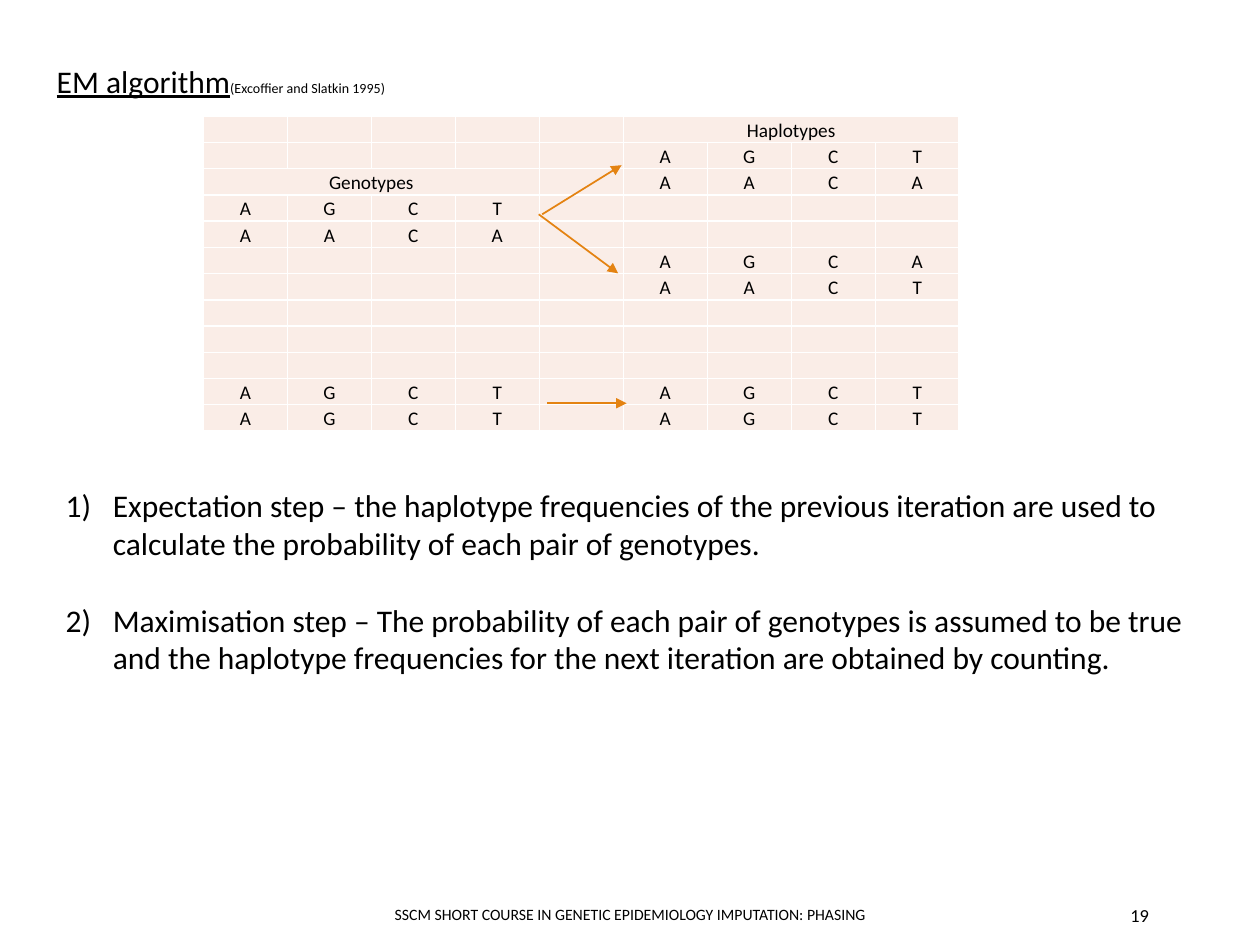
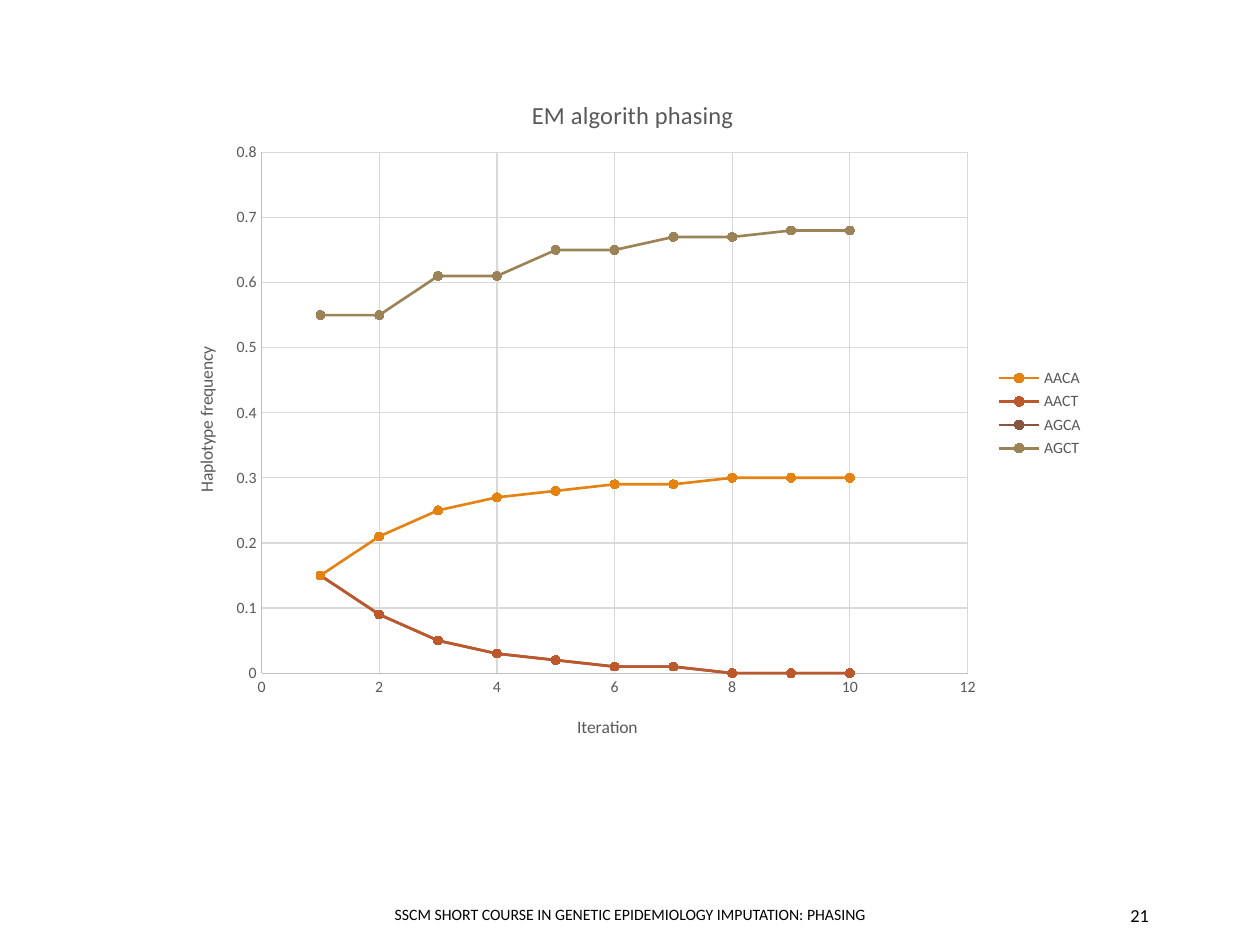
from dataclasses import dataclass

from lxml.etree import SubElement
from pptx import Presentation
from pptx.chart.data import XyChartData
from pptx.dml.color import RGBColor
from pptx.enum.chart import XL_CHART_TYPE, XL_LEGEND_POSITION, XL_MARKER_STYLE, XL_TICK_MARK
from pptx.enum.shapes import MSO_CONNECTOR
from pptx.enum.text import MSO_ANCHOR, MSO_AUTO_SIZE, PP_ALIGN
from pptx.oxml.ns import qn
from pptx.oxml.xmlchemy import OxmlElement
from pptx.util import Cm, Pt

# Shared style
FONT = "Calibri"
BLACK = RGBColor(0x00, 0x00, 0x00)
WHITE = RGBColor(0xFF, 0xFF, 0xFF)
CELL_PINK = RGBColor(0xFA, 0xED, 0xE7)
ORANGE = RGBColor(0xE4, 0x83, 0x12)
RUST = RGBColor(0xBD, 0x58, 0x2C)
BROWN = RGBColor(0x86, 0x56, 0x40)
TAN = RGBColor(0x9B, 0x83, 0x57)
CHART_TEXT = RGBColor(0x59, 0x59, 0x59)
AXIS_GREY = RGBColor(0xBF, 0xBF, 0xBF)
GRID_GREY = RGBColor(0xD9, 0xD9, 0xD9)
FOOTER_TEXT = "SSCM SHORT COURSE IN GENETIC EPIDEMIOLOGY IMPUTATION: PHASING"

# Row number -> alleles in the two halves of the table
GENOTYPES = {3: "AGCT", 4: "AACA", 10: "AGCT", 11: "AGCT"}
HAPLOTYPES = {1: "AGCT", 2: "AACA", 5: "AGCA", 6: "AACT", 10: "AGCT", 11: "AGCT"}
ROWS, COLUMNS, HAPLOTYPE_COLUMN = 12, 9, 5

STEPS = [
    "Expectation step – the haplotype frequencies of the previous iteration are used to "
    "calculate the probability of each pair of genotypes.",
    "Maximisation step – The probability of each pair of genotypes is assumed to be true "
    "and the haplotype frequencies for the next iteration are obtained by counting.",
]

FALLING = [0.15, 0.09, 0.05, 0.03, 0.02, 0.01, 0.01, 0, 0, 0]
FREQUENCIES = [
    ("AACA", ORANGE, [0.15, 0.21, 0.25, 0.27, 0.28, 0.29, 0.29, 0.3, 0.3, 0.3]),
    ("AACT", RUST, FALLING),
    ("AGCA", BROWN, FALLING),
    ("AGCT", TAN, [0.55, 0.55, 0.61, 0.61, 0.65, 0.65, 0.67, 0.67, 0.68, 0.68]),
]


@dataclass
class Box:
    """A region in centimetres."""
    left: float
    top: float
    width: float
    height: float

    def lengths(self):
        return Cm(self.left), Cm(self.top), Cm(self.width), Cm(self.height)


def style_font(font, size, color=BLACK):
    font.name = FONT
    font.size = Pt(size)
    font.color.rgb = color


def add_run(paragraph, text, size, color=BLACK, underline=None):
    run = paragraph.add_run()
    run.text = text
    style_font(run.font, size, color)
    run.font.underline = underline


def place(shape, box):
    shape.left, shape.top, shape.width, shape.height = box.lengths()


# Footer
def add_footer_text(slide, box, text, size, alignment):
    frame = slide.shapes.add_textbox(*box.lengths()).text_frame
    frame.word_wrap = True
    frame.vertical_anchor = MSO_ANCHOR.MIDDLE
    frame.margin_left = frame.margin_right = Cm(0.2)
    paragraph = frame.paragraphs[0]
    paragraph.alignment = alignment
    add_run(paragraph, text, size)


def add_footer(slide, number):
    add_footer_text(slide, Box(7.67, 17.93, 10.06, 1.02), FOOTER_TEXT, 9, PP_ALIGN.CENTER)
    add_footer_text(slide, Box(20.62, 17.93, 2.74, 1.02), str(number), 10.5, PP_ALIGN.RIGHT)


# Title and numbered steps
def fill_title(slide, box):
    title = slide.shapes.title
    place(title, box)
    frame = title.text_frame
    frame.auto_size = MSO_AUTO_SIZE.NONE
    frame.vertical_anchor = MSO_ANCHOR.TOP
    paragraph = frame.paragraphs[0]
    paragraph.alignment = PP_ALIGN.LEFT
    add_run(paragraph, "EM algorithm", 18, underline=True)
    add_run(paragraph, "(Excoffier and Slatkin 1995)", 8, underline=False)


def fill_steps(slide, box):
    body = slide.placeholders[1]
    place(body, box)
    frame = body.text_frame
    frame.auto_size = MSO_AUTO_SIZE.NONE
    for index, step in enumerate(STEPS):
        paragraph = frame.add_paragraph() if index else frame.paragraphs[0]
        properties = paragraph._p.get_or_add_pPr()
        properties.set("marL", str(Cm(0.95)))
        properties.set("indent", str(-Cm(0.95)))
        SubElement(properties, qn("a:buFont"), typeface="+mj-lt")
        SubElement(properties, qn("a:buAutoNum"), type="arabicParenR")
        paragraph.space_before = Pt(22 if index else 0)
        add_run(paragraph, step, 18)


# Genotype and haplotype table
def style_cell(cell):
    cell.margin_left = cell.margin_right = cell.margin_top = Cm(0.02)
    cell.margin_bottom = 0
    cell.vertical_anchor = MSO_ANCHOR.BOTTOM
    cell.fill.solid()
    cell.fill.fore_color.rgb = CELL_PINK
    properties = cell._tc.get_or_add_tcPr()
    for index, side in enumerate(("lnL", "lnR", "lnT", "lnB")):
        border = OxmlElement(f"a:{side}")
        border.set("w", str(Pt(1)))
        SubElement(SubElement(border, qn("a:solidFill")), qn("a:srgbClr"), val=str(WHITE))
        properties.insert(index, border)
    cell.text_frame.paragraphs[0]._p.get_or_add_endParaRPr().set("sz", "1100")


def write_cell(cell, text):
    paragraph = cell.text_frame.paragraphs[0]
    paragraph.alignment = PP_ALIGN.CENTER
    add_run(paragraph, text, 11)


def add_allele_table(slide, box):
    table = slide.shapes.add_table(ROWS, COLUMNS, *box.lengths()).table
    table.first_row = table.horz_banding = False
    for column in table.columns:
        column.width = Cm(box.width / COLUMNS)
    for row in table.rows:
        row.height = Cm(box.height / ROWS)
    for cell in table.iter_cells():
        style_cell(cell)

    for row, column, heading in ((0, HAPLOTYPE_COLUMN, "Haplotypes"), (2, 0, "Genotypes")):
        table.cell(row, column).merge(table.cell(row, column + 3))
        write_cell(table.cell(row, column), heading)
    for first_column, sequences in ((0, GENOTYPES), (HAPLOTYPE_COLUMN, HAPLOTYPES)):
        for row, alleles in sequences.items():
            for offset, allele in enumerate(alleles):
                write_cell(table.cell(row, first_column + offset), allele)


def add_phase_arrows(slide, box):
    """Arrows from genotypes to haplotypes, measured from the table's corner."""
    run_length = 1.6
    for x, start_y, end_y in ((6.83, 1.98, 0.99), (6.76, 1.98, 3.17), (6.93, 5.79, 5.79)):
        left = box.left + x
        arrow = slide.shapes.add_connector(
            MSO_CONNECTOR.STRAIGHT, Cm(left), Cm(box.top + start_y),
            Cm(left + run_length), Cm(box.top + end_y))
        arrow.line.color.rgb = ORANGE
        arrow.line.width = Pt(1)
        SubElement(arrow.line._get_or_add_ln(), qn("a:tailEnd"), type="triangle")
        SubElement(arrow._element.spPr, qn("a:effectLst"))


# Frequency chart
def set_layout(element, position, **fractions):
    """Place a chart part by fractions of the chart's size."""
    layout = element.find(qn("c:layout"))
    if layout is None:
        layout = OxmlElement("c:layout")
        element.insert(position, layout)
    manual = SubElement(layout, qn("c:manualLayout"))
    if "w" in fractions:
        SubElement(manual, qn("c:layoutTarget"), val="inner")
    for mode in ("xMode", "yMode"):
        SubElement(manual, qn(f"c:{mode}"), val="edge")
    for name, value in fractions.items():
        SubElement(manual, qn(f"c:{name}"), val=str(value))


def write_chart_title(title, text, size, x, y):
    paragraph = title.text_frame.paragraphs[0]
    paragraph.font.bold = False
    add_run(paragraph, text, size, CHART_TEXT)
    paragraph.runs[0].font.bold = False
    set_layout(title._element, 1, x=x, y=y)


def style_axis(axis, maximum, step):
    axis.minimum_scale, axis.maximum_scale, axis.major_unit = 0, maximum, step
    axis.major_tick_mark = axis.minor_tick_mark = XL_TICK_MARK.NONE
    style_font(axis.tick_labels.font, 9, CHART_TEXT)
    axis.tick_labels.number_format = "General"
    axis.tick_labels.number_format_is_linked = False
    axis.has_major_gridlines = True
    for line, color in ((axis.format.line, AXIS_GREY), (axis.major_gridlines.format.line, GRID_GREY)):
        line.color.rgb = color
        line.width = Pt(0.75)


def style_series(series, color):
    series.smooth = True
    series.format.line.color.rgb = color
    series.format.line.width = Pt(1.5)
    marker = series.marker
    marker.style = XL_MARKER_STYLE.CIRCLE
    marker.size = 5
    marker.format.fill.solid()
    marker.format.fill.fore_color.rgb = color
    marker.format.line.color.rgb = color


def add_frequency_chart(slide, box):
    data = XyChartData()
    for name, _, values in FREQUENCIES:
        series = data.add_series(name)
        for iteration, value in enumerate(values, start=1):
            series.add_data_point(iteration, value)
    chart = slide.shapes.add_chart(XL_CHART_TYPE.XY_SCATTER_SMOOTH, *box.lengths(), data).chart
    style_font(chart.font, 10)
    chart.plots[0].vary_by_categories = False
    for series, (_, color, _) in zip(chart.plots[0].series, FREQUENCIES):
        style_series(series, color)

    style_axis(chart.category_axis, 12, 2)
    style_axis(chart.value_axis, 0.8, 0.1)
    chart.has_title = True
    write_chart_title(chart.chart_title, "EM algorith phasing", 14, 0.39, 0.04)
    write_chart_title(chart.category_axis.axis_title, "Iteration", 10, 0.44, 0.93)
    write_chart_title(chart.value_axis.axis_title, "Haplotype frequency", 10, 0.03, 0.4)
    set_layout(chart._chartSpace.chart.plotArea, 0, x=0.105, y=0.125, w=0.757, h=0.749)

    chart.has_legend = True
    chart.legend.position = XL_LEGEND_POSITION.RIGHT
    chart.legend.include_in_layout = False
    style_font(chart.legend.font, 9, CHART_TEXT)


# Slides
def build_algorithm_slide(presentation):
    slide = presentation.slides.add_slide(presentation.slide_layouts[1])
    table_box = Box(4.1, 2.34, 15.24, 6.35)
    add_footer(slide, 19)
    add_allele_table(slide, table_box)
    add_phase_arrows(slide, table_box)
    fill_title(slide, Box(0.89, 1.12, 8.03, 1.8))
    fill_steps(slide, Box(1.07, 9.68, 23.85, 4.11))


def build_chart_slide(presentation):
    slide = presentation.slides.add_slide(presentation.slide_layouts[6])
    add_footer(slide, 21)
    add_frequency_chart(slide, Box(3.3, 1.32, 18.8, 14.02))


def main():
    presentation = Presentation()
    presentation.slide_width = Cm(25.4)
    presentation.slide_height = Cm(19.05)
    build_algorithm_slide(presentation)
    build_chart_slide(presentation)
    presentation.save("out.pptx")


if __name__ == "__main__":
    main()
